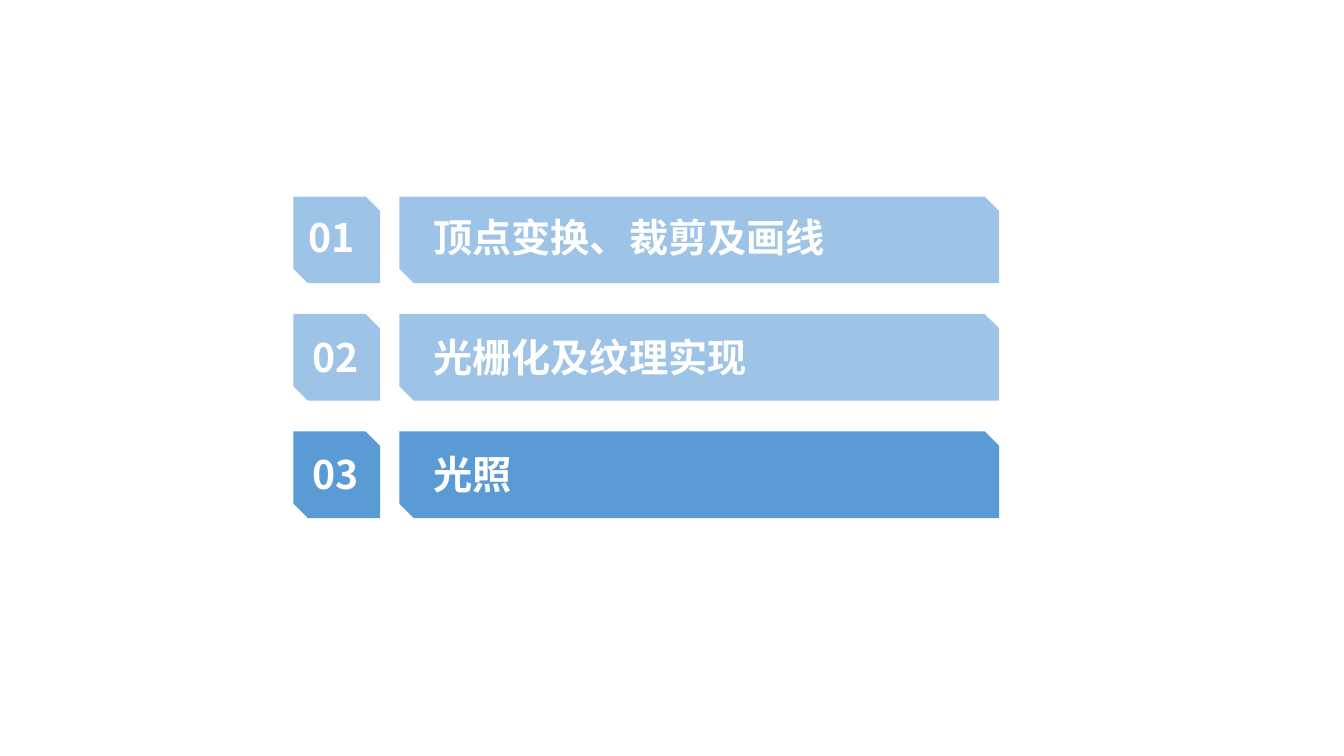
"""Build an agenda slide of three numbered bars with the last one active."""
from lxml import etree
from pptx import Presentation
from pptx.dml.color import RGBColor
from pptx.enum.shapes import MSO_SHAPE
from pptx.enum.text import MSO_AUTO_SIZE
from pptx.oxml.ns import qn
from pptx.util import Inches, Pt

SNIP = MSO_SHAPE.SNIP_2_DIAG_RECTANGLE
GROW = MSO_AUTO_SIZE.SHAPE_TO_FIT_TEXT
HUES = {"pale": "9DC3E6", "deep": "5B9BD5", "text": "FFFFFF"}
FACE = "Noto Sans CJK SC"
STYLE = {"size": Pt(28), "bold": True, "name": FACE}
TOP, STEP, SIDE = 1.95, 1.165, 0.86


def add_bar(left, top, width, hue):
    bar = slide.shapes.add_shape(
        SNIP, Inches(left), Inches(top), Inches(width), Inches(SIDE))
    bar.shadow.inherit = False
    bar.fill.solid()
    bar.fill.fore_color.rgb = RGBColor.from_string(HUES[hue])
    bar.line.fill.background()


def add_label(text, left, top, width):
    box = slide.shapes.add_textbox(
        Inches(left), Inches(top), Inches(width), Inches(0.57))
    frame = box.text_frame
    frame.word_wrap = False
    frame.auto_size = GROW
    run = frame.paragraphs[0].add_run()
    run.text = text
    for key, value in STYLE.items():
        setattr(run.font, key, value)
    run.font.color.rgb = RGBColor.from_string(HUES["text"])
    east = etree.SubElement(run.font._element, qn("a:ea")) if hasattr(
        run.font, "_element") else etree.SubElement(
        run._r.get_or_add_rPr(), qn("a:ea"))
    east.set("typeface", FACE)


deck = Presentation()
deck.slide_width = Inches(13.33)
deck.slide_height = Inches(7.5)
slide = deck.slides.add_slide(deck.slide_layouts[6])

items = [
    ("顶点变换、裁剪及画线", "pale", 2.96, 2.07, 4.09),
    ("光栅化及纹理实现", "pale", 3, 3.26, 3.31),
    ("光照", "deep", 3, 4.42, 0.98),
]
for row, (topic, hue, left, top, width) in enumerate(items):
    edge = TOP + row * STEP
    add_bar(2.91, edge, SIDE, hue)
    add_bar(3.96, edge, 5.95, hue)
    add_label(f"{row + 1:02}", left, top, 0.68)
    add_label(topic, 4.2, top, width)

deck.save("out.pptx")
